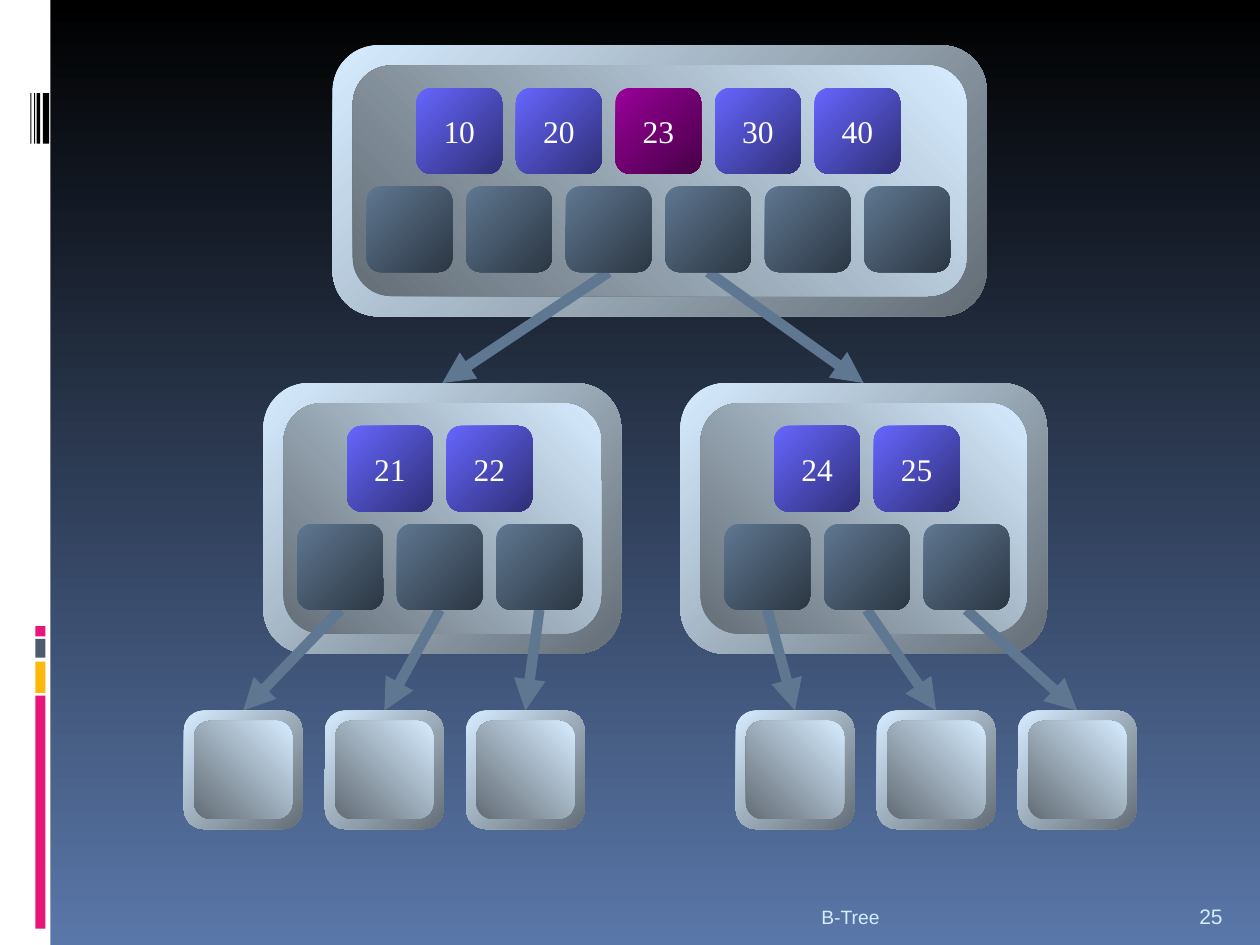
from lxml.etree import SubElement
from pptx import Presentation
from pptx.dml.color import RGBColor
from pptx.enum.shapes import MSO_CONNECTOR, MSO_SHAPE
from pptx.enum.text import MSO_ANCHOR, PP_ALIGN
from pptx.oxml.ns import qn
from pptx.util import Inches, Pt

CELL = 0.68
CELL_PITCH = 0.79
NODE_HEIGHT = 2.15
NODE_INSET = 0.16
KEY_OFFSET = 0.34
POINTER_OFFSET = 1.12
LEAF_TOP = 5.64
LEAF_SIZE = 0.94
LEAF_PITCH = 1.12
LEAF_INSET = 0.08

FRAME = ("D6ECFF", "636D76")
PANEL = ("636D76", "D6ECFF")
KEY = ("6666FF", "2F2F76")
MIDDLE_KEY = ("990099", "470047")
POINTER = ("5F7791", "2C3743")


def color(value):
    return RGBColor.from_string(value)


def set_gradient(fill, colors, clockwise_angle):
    fill.gradient()
    fill.gradient_angle = 360 - clockwise_angle
    for stop, position, value in zip(fill.gradient_stops, (0, 1), colors):
        stop.position = position
        stop.color.rgb = color(value)


class TreeSlide:
    arrow_color = "5F7791"
    footer_color = "D6ECFF"

    def __init__(self, slide):
        self.slide = slide
        set_gradient(slide.background.fill, ("000000", "5A77A9"), 90)

    def shape(self, kind, left, top, width, height):
        shape = self.slide.shapes.add_shape(
            kind, Inches(left), Inches(top), Inches(width), Inches(height))
        shape.shadow.inherit = False
        shape.line.fill.background()
        return shape

    def bar(self, left, top, width, height, fill):
        shape = self.shape(MSO_SHAPE.RECTANGLE, left, top, width, height)
        shape.fill.solid()
        shape.fill.fore_color.rgb = color(fill)

    def rounded(self, left, top, width, height, colors, angle=45):
        shape = self.shape(MSO_SHAPE.ROUNDED_RECTANGLE, left, top, width, height)
        shape.adjustments[0] = 0.167
        set_gradient(shape.fill, colors, angle)
        return shape

    def framed_panel(self, left, top, width, height, inset):
        self.rounded(left, top, width, height, FRAME)
        self.rounded(left + inset, top + inset,
                     width - 2 * inset, height - 2 * inset, PANEL, 315)

    def label(self, shape, text, size, font_name, font_color, align, anchor):
        frame = shape.text_frame
        frame.text = text
        frame.vertical_anchor = anchor
        paragraph = frame.paragraphs[0]
        paragraph.alignment = align
        font = paragraph.runs[0].font
        font.size = Pt(size)
        font.name = font_name
        font.color.rgb = color(font_color)

    def key(self, left, top, text, colors):
        shape = self.rounded(left, top, CELL, CELL, colors)
        shape.text_frame.word_wrap = False
        self.label(shape, text, 18, "Times New Roman", "FFFFFF",
                   PP_ALIGN.CENTER, MSO_ANCHOR.MIDDLE)

    def arrow(self, start, end):
        connector = self.slide.shapes.add_connector(
            MSO_CONNECTOR.STRAIGHT, *(Inches(value) for value in start + end))
        connector.line.width = Pt(6)
        connector.line.color.rgb = color(self.arrow_color)
        properties = connector._element.spPr
        SubElement(properties.find(qn("a:ln")), qn("a:tailEnd"), type="triangle")
        SubElement(properties, qn("a:effectLst"))

    def node(self, left, top, width, cells_left, keys, targets, middle=None):
        """Draw a node; targets maps a pointer index to an arrow end."""
        self.framed_panel(left, top, width, NODE_HEIGHT, NODE_INSET)
        for index, text in enumerate(keys):
            self.key(cells_left + (index + 0.5) * CELL_PITCH, top + KEY_OFFSET,
                     text, MIDDLE_KEY if text == middle else KEY)
        pointer_top = top + POINTER_OFFSET
        pointer_lefts = [cells_left + index * CELL_PITCH
                         for index in range(len(keys) + 1)]
        for index, end in targets.items():
            self.arrow((pointer_lefts[index] + CELL / 2, pointer_top + CELL), end)
        for pointer_left in pointer_lefts:
            self.rounded(pointer_left, pointer_top, CELL, CELL, POINTER)

    def footer(self, left, width, text, size, align):
        box = self.slide.shapes.add_textbox(
            Inches(left), Inches(7.02), Inches(width), Inches(0.4))
        box.text_frame.word_wrap = True
        self.label(box, text, size, "Arial", self.footer_color,
                   align, MSO_ANCHOR.BOTTOM)


def main():
    presentation = Presentation()
    presentation.slide_width = Inches(10)
    presentation.slide_height = Inches(7.5)
    blank_layout = presentation.slide_layouts[6]
    tree = TreeSlide(presentation.slides.add_slide(blank_layout))

    # Side strip with its coloured blocks and black stripes
    tree.bar(0, 0, 0.4, 7.5, "FFFFFF")
    for top, height, fill in ((5.52, 1.85, "EA157A"), (5.25, 0.25, "FEB80A"),
                              (5.07, 0.15, "4E5B6F"), (4.97, 0.08, "EA157A")):
        tree.bar(0.28, top, 0.08, height, fill)
    for left, width in ((0.34, 0.05), (0.29, 0.03), (0.27, 0.01), (0.24, 0.01)):
        tree.bar(left, 0.74, width, 0.4, "000000")

    # Child nodes, each with a row of leaves
    child_top = 3.04
    child_ends = []
    for left, width, cells_left, keys, leaves_left in (
            (2.09, 2.84, 2.36, ("21", "22"), 1.46),
            (5.4, 2.91, 5.75, ("24", "25"), 5.84)):
        leaf_lefts = [leaves_left + index * LEAF_PITCH for index in range(3)]
        targets = {index: (leaf_left + LEAF_SIZE / 2, LEAF_TOP)
                   for index, leaf_left in enumerate(leaf_lefts)}
        tree.node(left, child_top, width, cells_left, keys, targets)
        for leaf_left in leaf_lefts:
            tree.framed_panel(leaf_left, LEAF_TOP, LEAF_SIZE, LEAF_SIZE, LEAF_INSET)
        child_ends.append((left + width / 2, child_top))

    # Root node, with the children on either side of its middle key
    tree.node(2.64, 0.36, 5.19, 2.91, ("10", "20", "23", "30", "40"),
              dict(enumerate(child_ends, start=2)), middle="23")

    # Footer
    tree.footer(1, 6.08, "B-Tree", 11, PP_ALIGN.RIGHT)
    tree.footer(9.42, 0.5, "25", 12, PP_ALIGN.LEFT)

    presentation.save("out.pptx")


if __name__ == "__main__":
    main()
